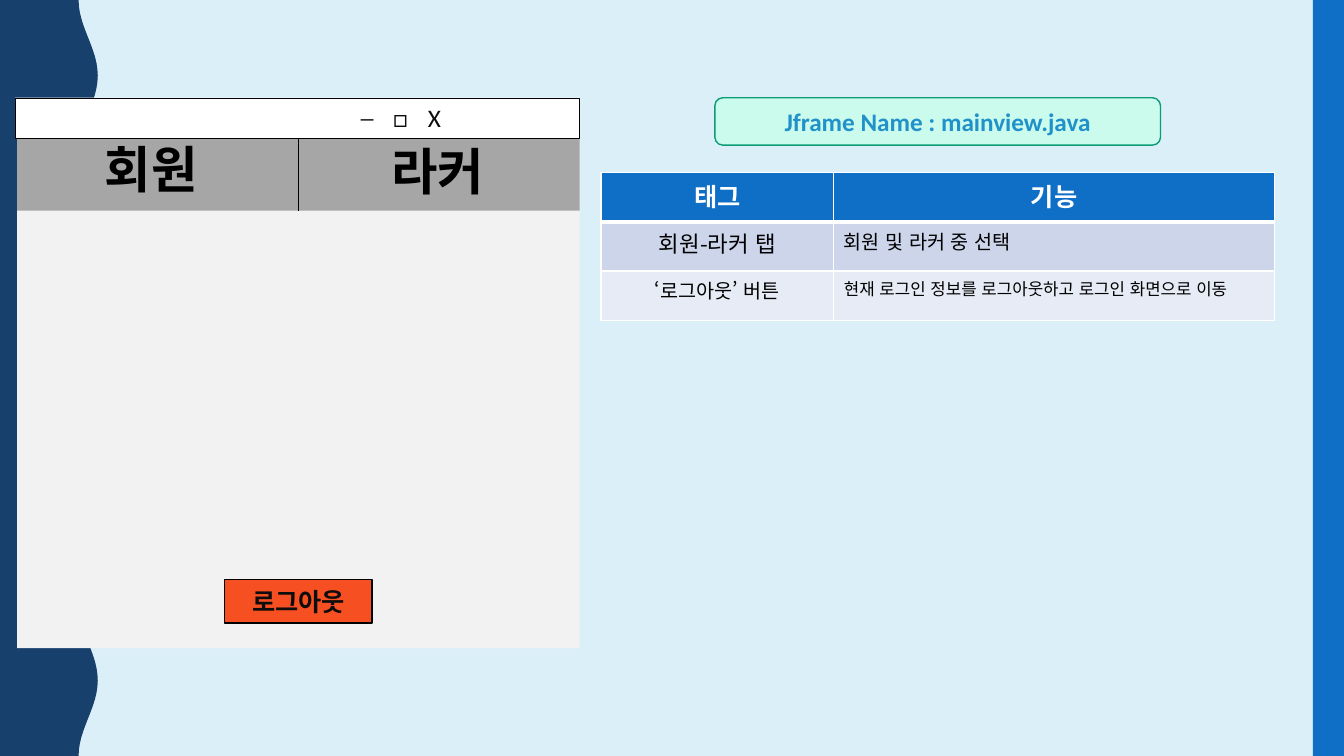
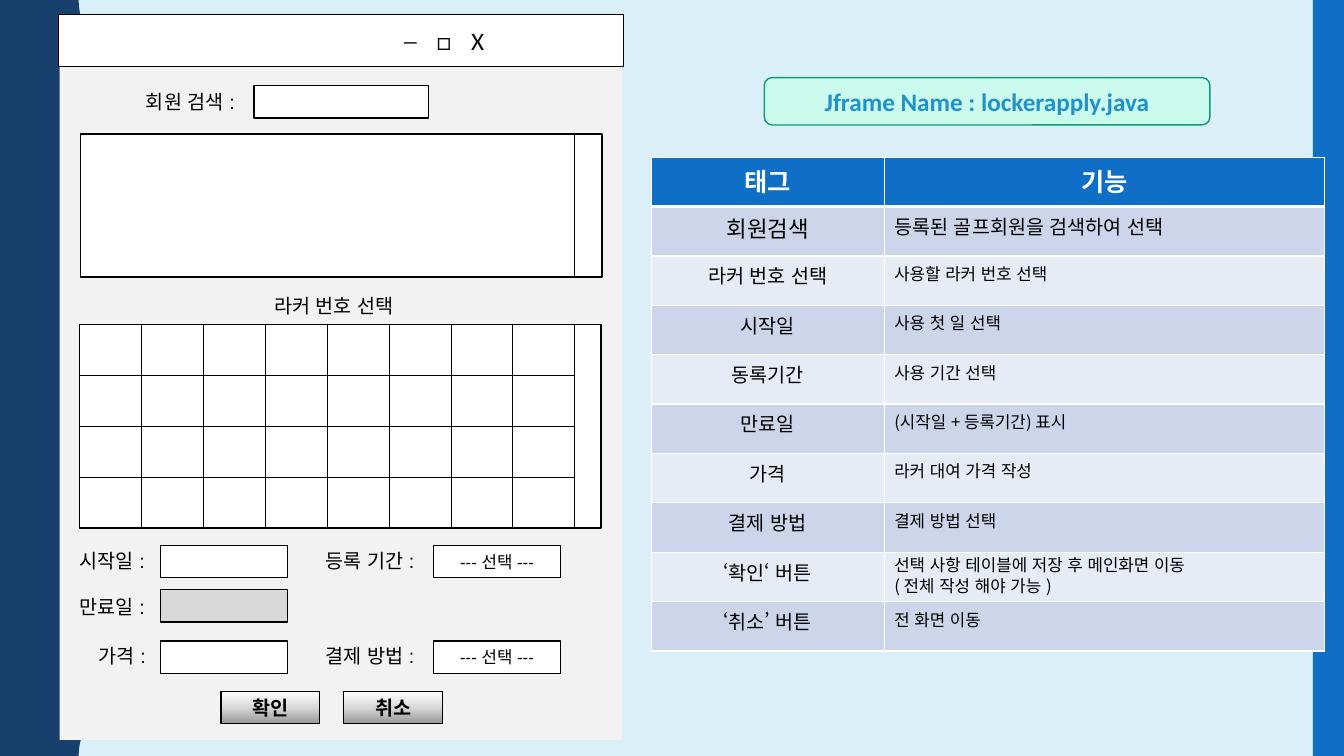
from copy import deepcopy
from dataclasses import dataclass
from math import cos, pi
from typing import NamedTuple

from lxml.etree import SubElement
from pptx import Presentation
from pptx.dml.color import RGBColor
from pptx.enum.lang import MSO_LANGUAGE_ID
from pptx.enum.shapes import MSO_CONNECTOR, MSO_SHAPE
from pptx.enum.text import MSO_ANCHOR, MSO_AUTO_SIZE, PP_ALIGN
from pptx.oxml.ns import qn
from pptx.util import Inches, Pt


@dataclass(frozen=True)
class Theme:
    sky: str = "DBEFF9"
    navy: str = "17406D"
    blue: str = "0F6FC6"
    white: str = "FFFFFF"
    black: str = "000000"
    ink: str = "0D0D0D"
    panel: str = "F2F2F2"
    tab_gray: str = "A6A6A6"
    locked: str = "D9D9D9"
    logout: str = "F64F22"
    mint: str = "CAFBED"
    mint_line: str = "0C9B74"
    name_text: str = "2191C9"
    bands: tuple[str, str] = ("CCD5EA", "E7EBF5")
    button_stops: tuple = ((0, "979797"), (0.5, "D7D7D7"), (1, "FFFFFF"))
    korean: str = "Noto Sans CJK KR"
    latin: str = "Calibri"
    form: str = "Arial"
    tab_size: int = 36
    head_size: int = 18
    lead_size: int = 16
    body_size: int = 14
    small_size: int = 12


THEME = Theme()
SLIDE_W, SLIDE_H = 13.33, 7.5
TITLE_ONLY = 5


class Box(NamedTuple):
    left: float
    top: float
    width: float
    height: float

    def emu(self) -> list[int]:
        return [Inches(value) for value in self]


class Style(NamedTuple):
    size: int
    font: str = THEME.form
    color: str = THEME.black
    bold: bool = False


class Field(NamedTuple):
    label: str
    label_box: Box
    input_box: Box
    fill: str = THEME.white
    choice: str = ""


class TagRow(NamedTuple):
    tag: str
    role: str


CONTROLS = Style(THEME.head_size, THEME.latin, THEME.ink)
FRAME_NAME = Style(THEME.head_size, THEME.latin, THEME.name_text, True)
TAB = Style(THEME.tab_size, THEME.korean, bold=True)
LABEL = Style(THEME.body_size)
CHOICE = Style(THEME.small_size)
BUTTON = Style(THEME.body_size, bold=True)
LOGOUT = Style(THEME.head_size, color=THEME.ink, bold=True)
HEAD = Style(THEME.head_size, THEME.korean, THEME.white, True)

MAIN_ROWS = [
    TagRow("회원-라커 탭", "회원 및 라커 중 선택"),
    TagRow("‘로그아웃’ 버튼", "현재 로그인 정보를 로그아웃하고 로그인 화면으로 이동"),
]
LOCKER_ROWS = [
    TagRow("회원검색", "등록된 골프회원을 검색하여 선택"),
    TagRow("라커 번호 선택", "사용할 라커 번호 선택"),
    TagRow("시작일", "사용 첫 일 선택"),
    TagRow("동록기간", "사용 기간 선택"),
    TagRow("만료일", "(시작일 + 등록기간) 표시"),
    TagRow("가격", "라커 대여 가격 작성"),
    TagRow("결제 방법", "결제 방법 선택"),
    TagRow("‘확인‘ 버튼", "선택 사항 테이블에 저장 후 메인화면 이동\n( 전체 작성 해야 가능 )"),
    TagRow("‘취소’ 버튼", "전 화면 이동"),
]
FIELDS = [
    Field("회원 검색 :", Box(1.35, 0.84, 1.17, 0.34), Box(2.52, 0.85, 1.73, 0.32)),
    Field("시작일 :", Box(0.69, 5.4, 0.9, 0.34), Box(1.59, 5.41, 1.26, 0.32)),
    Field("등록 기간 :", Box(3.13, 5.4, 1.17, 0.34), Box(4.3, 5.41, 1.26, 0.32),
          choice="--- 선택 ---"),
    Field("만료일 :", Box(0.69, 5.85, 0.9, 0.34), Box(1.59, 5.85, 1.26, 0.32), THEME.locked),
    Field("가격 :", Box(0.88, 6.34, 0.71, 0.34), Box(1.59, 6.36, 1.26, 0.32)),
    Field("결제 방법 :", Box(3.13, 6.34, 1.17, 0.34), Box(4.3, 6.36, 1.26, 0.32),
          choice="--- 선택 ---"),
]


# Basic drawing
def rgb(color: str) -> RGBColor:
    return RGBColor.from_string(color)


def write(frame, text: str, style: Style, align=PP_ALIGN.LEFT) -> None:
    frame.text = text
    for paragraph in frame.paragraphs:
        paragraph.alignment = align
        for run in paragraph.runs:
            font = run.font
            font.size, font.bold, font.name = Pt(style.size), style.bold, style.font
            font.language_id = MSO_LANGUAGE_ID.KOREAN
            font.color.rgb = rgb(style.color)
            SubElement(font._element, qn("a:ea"), typeface=THEME.korean)


def paint(shape, fill: str, line: str = "", weight: float = 1) -> None:
    shape.shadow.inherit = False
    shape.fill.solid()
    shape.fill.fore_color.rgb = rgb(fill)
    if line:
        shape.line.color.rgb = rgb(line)
        shape.line.width = Pt(weight)
    else:
        shape.line.fill.background()


def add_block(slide, box: Box, fill: str, line: str = "", weight: float = 1,
              kind=MSO_SHAPE.RECTANGLE):
    block = slide.shapes.add_shape(kind, *box.emu())
    paint(block, fill, line, weight)
    return block


def add_caption(block, text: str, style: Style) -> None:
    block.text_frame.vertical_anchor = MSO_ANCHOR.MIDDLE
    write(block.text_frame, text, style, PP_ALIGN.CENTER)


def add_label(slide, text: str, box: Box, style: Style) -> None:
    frame = slide.shapes.add_textbox(*box.emu()).text_frame
    write(frame, text, style)
    frame.word_wrap = False
    frame.auto_size = MSO_AUTO_SIZE.SHAPE_TO_FIT_TEXT


def add_rule(slide, x1: float, y1: float, x2: float, y2: float):
    rule = slide.shapes.add_connector(
        MSO_CONNECTOR.STRAIGHT, Inches(x1), Inches(y1), Inches(x2), Inches(y2))
    rule.line.color.rgb = rgb(THEME.black)
    rule.line.width = Pt(0.5)
    SubElement(rule._element.spPr, qn("a:effectLst"))
    return rule


# Shared parts
def dress_layout(layout, slide) -> None:
    """Draw the wave and the stripe, then hand them to the layout."""
    layout.background.fill.solid()
    layout.background.fill.fore_color.rgb = rgb(THEME.sky)
    middle, swing, period, steps = 0.875, 0.095, 1.5, 120
    edge = []
    for step in range(steps + 1):
        y = SLIDE_H * step / steps
        edge.append((Inches(middle - swing * cos(2 * pi * y / period)), Inches(y)))
    builder = slide.shapes.build_freeform(0, 0)
    builder.add_line_segments(edge + [(0, Inches(SLIDE_H))], close=True)
    wave = builder.convert_to_shape()
    paint(wave, THEME.navy)
    stripe = add_block(slide, Box(13.02, 0, 0.31, SLIDE_H), THEME.blue)
    for position, part in enumerate((wave, stripe), start=2):
        layout.shapes._spTree.insert(position, part._element)


def add_title_bar(slide, box: Box) -> None:
    bar = add_block(slide, box, THEME.white, THEME.black, 0.25)
    bar.text_frame.vertical_anchor = MSO_ANCHOR.MIDDLE
    write(bar.text_frame, "─ □ X", CONTROLS)
    controls = bar.text_frame.paragraphs[0]
    controls._p.get_or_add_pPr().set("marL", str(Inches(3.33)))
    controls.runs[0].font._element.set("spc", "500")


def add_frame_name(slide, name: str, left: float, top: float) -> None:
    box = Box(left, top, 4.42, 0.47)
    add_block(slide, box, THEME.mint, THEME.mint_line, kind=MSO_SHAPE.ROUNDED_RECTANGLE)
    title = slide.shapes.title
    title.left, title.top, title.width, title.height = box.emu()
    add_caption(title, f"Jframe Name : {name}", FRAME_NAME)
    title.text_frame.auto_size = MSO_AUTO_SIZE.NONE
    title.text_frame.paragraphs[0].line_spacing = 1.0
    slide.shapes._spTree.append(title._element)  # text above its plate


def set_borders(cell, top: float, bottom: float) -> None:
    properties = cell._tc.get_or_add_tcPr()
    sides = (("a:lnL", 1), ("a:lnR", 1), ("a:lnT", top), ("a:lnB", bottom))
    for position, (side, weight) in enumerate(sides):
        line = SubElement(properties, qn(side), w=str(Pt(weight)))
        SubElement(SubElement(line, qn("a:solidFill")), qn("a:srgbClr"), val=THEME.white)
        properties.insert(position, line)


def add_tag_table(slide, left: float, top: float, rows: list[TagRow]) -> None:
    widths, row_height = (2.31, 4.37), 0.49
    lines = [TagRow("태그", "기능"), *rows]
    box = Box(left, top, sum(widths), row_height * len(lines))
    table = slide.shapes.add_table(len(lines), len(widths), *box.emu()).table
    table.first_row = table.horz_banding = False
    for column, width in zip(table.columns, widths):
        column.width = Inches(width)
    for r, line in enumerate(lines):
        table.rows[r].height = Inches(row_height)
        sizes = ((THEME.lead_size, THEME.body_size) if r == 1
                 else (THEME.body_size, THEME.small_size))
        for c, text in enumerate(line):
            cell = table.cell(r, c)
            cell.margin_bottom = 0
            style = HEAD if r == 0 else Style(sizes[c], THEME.korean)
            centred = r == 0 or c == 0
            write(cell.text_frame, text, style, PP_ALIGN.CENTER if centred else PP_ALIGN.LEFT)
            if "\n" in text:  # two lines fit the common row height
                cell.margin_top = Inches(0.03)
                for paragraph in cell.text_frame.paragraphs:
                    paragraph.line_spacing = 0.85
            cell.fill.solid()
            cell.fill.fore_color.rgb = rgb(THEME.bands[(r - 1) % 2] if r else THEME.blue)
            set_borders(cell, top=3 if r == 1 else 1, bottom=3 if r == 0 else 1)


# Main window
def build_main_view(slide) -> None:
    add_tag_table(slide, 5.96, 1.71, MAIN_ROWS)
    add_block(slide, Box(0.17, 1.35, 5.58, 5.08), THEME.panel)
    tab_bar = add_block(slide, Box(0.17, 1.38, 5.58, 0.71), THEME.tab_gray)
    add_label(slide, "회원", Box(0.94, 1.32, 1.21, 0.71), TAB)
    add_label(slide, "라커", Box(3.78, 1.34, 1.21, 0.71), TAB)
    add_title_bar(slide, Box(0.15, 0.97, 5.6, 0.4))
    add_frame_name(slide, "mainview.java", 7.09, 0.97)
    divider = add_rule(slide, 2.96, 1.38, 2.96, 2.09)
    divider.begin_connect(tab_bar, 0)
    divider.end_connect(tab_bar, 2)
    logout = add_block(slide, Box(2.23, 5.75, 1.46, 0.43), THEME.logout, THEME.black)
    add_caption(logout, "로그아웃", LOGOUT)


# Locker window
def add_locker_board(slide) -> None:
    board, scroll_left, columns, rows = Box(0.79, 3.22, 5.17, 2.02), 5.7, 8, 4
    bottom = board.top + board.height
    plate = add_block(slide, board, THEME.white, THEME.black)
    for i in range(1, columns + 1):
        x = board.left + (scroll_left - board.left) * i / columns
        add_rule(slide, x, board.top, x, bottom)
    for i in range(1, rows):
        y = board.top + board.height * i / rows
        rule = add_rule(slide, board.left, y, scroll_left, y)
        if 2 * i == rows:
            rule.begin_connect(plate, 1)


def add_gradient_button(slide, text: str, left: float) -> None:
    button = add_block(slide, Box(left, 6.86, 0.98, 0.32), THEME.white, THEME.black)
    button.fill.gradient()
    button.fill.gradient_angle = 90
    stop_list = button._element.spPr.find(qn("a:gradFill")).find(qn("a:gsLst"))
    stop_list.insert(1, deepcopy(stop_list[0]))
    for stop, (position, color) in zip(button.fill.gradient_stops, THEME.button_stops):
        stop.position = position
        stop.color.rgb = rgb(color)
    add_caption(button, text, BUTTON)


def build_locker_apply(slide) -> None:
    add_block(slide, Box(0.59, 0.65, 5.58, 6.69), THEME.panel)
    add_title_bar(slide, Box(0.58, 0.14, 5.6, 0.52))
    add_block(slide, Box(0.8, 1.33, 5.17, 1.42), THEME.white, THEME.black)
    add_rule(slide, 5.7, 1.33, 5.7, 2.75)
    add_locker_board(slide)
    add_label(slide, "라커 번호 선택", Box(2.62, 2.87, 1.52, 0.34), LABEL)
    for field in FIELDS:
        entry = add_block(slide, field.input_box, field.fill, THEME.black)
        if field.choice:
            add_caption(entry, field.choice, CHOICE)
        add_label(slide, field.label, field.label_box, LABEL)
    for text, left in (("확인", 2.19), ("취소", 3.41)):
        add_gradient_button(slide, text, left)
    add_tag_table(slide, 6.46, 1.56, LOCKER_ROWS)
    add_frame_name(slide, "lockerapply.java", 7.58, 0.77)


def main() -> None:
    deck = Presentation()
    deck.slide_width, deck.slide_height = Inches(SLIDE_W), Inches(SLIDE_H)
    layout = deck.slide_layouts[TITLE_ONLY]
    main_view, locker_apply = (deck.slides.add_slide(layout) for _ in range(2))
    dress_layout(layout, main_view)
    build_main_view(main_view)
    build_locker_apply(locker_apply)
    deck.save("out.pptx")


if __name__ == "__main__":
    main()
